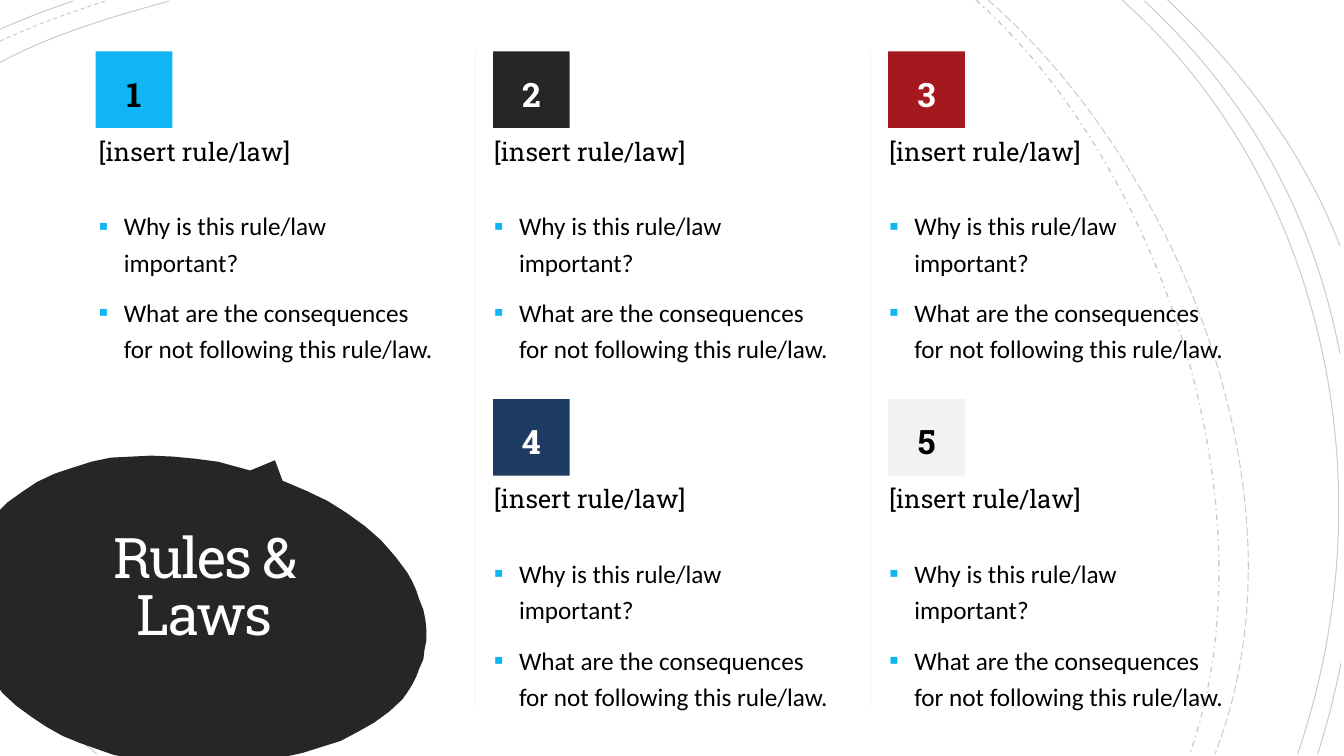
import pptx
import pptx.util
import pptx.dml.color
import pptx.enum.dml
import pptx.enum.shapes
import pptx.enum.text
import pptx.oxml
import pptx.oxml.ns
import lxml.etree

Inches = pptx.util.Inches
Pt = pptx.util.Pt
DASH = pptx.enum.dml.MSO_LINE
SHAPE = pptx.enum.shapes.MSO_SHAPE
ALIGN = pptx.enum.text.PP_ALIGN
ANCHOR = pptx.enum.text.MSO_ANCHOR
qn = pptx.oxml.ns.qn

SLAB, BODY = "Roboto Slab", "Calibri"
DARK, BLUE, BLACK, WHITE, PALE = "262626", "10B6F4", "000000", "FFFFFF", "F2F2F2"

# Grid of cards
LEFT, TOP, COL, ROW = 0.88, 0.51, 3.92, 3.45
SIDE = 0.76
CARDS = [  # number, column, row, square's indent, fill, number colour
    ("1", 0, 0, 0.07, BLUE, BLACK),
    ("2", 1, 0, 0.09, DARK, WHITE),
    ("3", 2, 0, 0.09, "A3191E", WHITE),
    ("4", 1, 1, 0.09, "1E3C62", WHITE),
    ("5", 2, 1, 0.09, PALE, BLACK),
]
POINTS = ["Why is this rule/law important?",
          "What are the consequences for not following this rule/law."]

# Thin background arcs: four Bezier points each, grouped by dash and width
ARCS = [
    (DASH.SOLID, 0.75, [
        [(0, 0.62), (0.52, 0.34), (1.13, 0.16), (1.68, 0.01)],
        [(2.1, 7.48), (1.34, 6.9), (0.62, 6.22), (0, 5.48)],
        [(0, 0.29), (0.23, 0.19), (0.48, 0.09), (0.73, 0.01)],
        [(1.67, 7.48), (1.08, 7.01), (0.51, 6.48), (0, 5.91)],
        [(1.49, 7.48), (0.97, 7.04), (0.46, 6.55), (0, 6.03)],
        [(1.3, 7.48), (0.84, 7.09), (0.41, 6.67), (0, 6.23)],
        [(0.96, 7.48), (0.63, 7.21), (0.31, 6.92), (0, 6.62)],
        [(11.13, 0), (13.2, 1.85), (13.76, 4.9), (12.87, 7.48)],
        [(11.35, 0.01), (12.38, 0.96), (13.03, 2.14), (13.29, 3.51)],
        [(13.3, 6.58), (13.24, 6.89), (13.16, 7.19), (13.07, 7.48)],
        [(11.58, 0), (12.31, 0.69), (12.93, 1.5), (13.29, 2.44)]]),
    (DASH.DASH, 0.75, [
        [(0, 0.41), (0.34, 0.25), (0.7, 0.12), (1.05, 0.01)],
        [(1.83, 7.49), (1.18, 6.98), (0.56, 6.4), (0.01, 5.77)]]),
    (DASH.DASH_DOT, 1, [
        [(9.68, 0), (11.54, 1.66), (12.65, 5.09), (11.8, 7.48)]]),
    (DASH.LONG_DASH, 0.75, [
        [(9.8, 0), (11.73, 1.69), (13.02, 4.99), (12.05, 7.48)]]),
]

BUBBLE = [
    (1.5, 4.52), (1.72, 4.53), (1.93, 4.55), (2.16, 4.58), (2.38, 4.64),
    (2.6, 4.7), (2.83, 4.78), (3.04, 4.87), (3.25, 4.97), (3.44, 5.09),
    (3.62, 5.22), (3.78, 5.36), (3.92, 5.52), (3.98, 5.6), (4.04, 5.68),
    (4.09, 5.77), (4.13, 5.86), (4.16, 5.95), (4.2, 6.05), (4.22, 6.15),
    (4.23, 6.25), (4.23, 6.35), (4.21, 6.45), (4.2, 6.54), (4.16, 6.63),
    (4.13, 6.71), (4.09, 6.79), (4.04, 6.87), (3.99, 6.94), (3.86, 7.06),
    (3.71, 7.17), (3.55, 7.26), (3.38, 7.35), (3.19, 7.41), (3, 7.47),
    (2.86, 7.5), (1.19, 7.5), (1.13, 7.49), (0.96, 7.43), (0.79, 7.37),
    (0.62, 7.3), (0.46, 7.21), (0.31, 7.11), (0.16, 7), (0.03, 6.88),
    (0, 6.84), (0, 5.06), (0.08, 4.98), (0.22, 4.88), (0.37, 4.78),
    (0.54, 4.7), (0.72, 4.64), (0.91, 4.58), (1.1, 4.54), (1.3, 4.53)]


def color(code):
    return pptx.dml.color.RGBColor.from_string(code)


def paint(shape, fill):
    shape.shadow.inherit = False
    shape.fill.solid()
    shape.fill.fore_color.rgb = color(fill)
    shape.line.fill.background()


def outline(group, points, close):
    spots = [(Inches(x), Inches(y)) for x, y in points]
    form = group.shapes.build_freeform(*spots[0])
    form.add_line_segments(spots[1:], close=close)
    return form.convert_to_shape()


def arc(group, ends, dash, width):
    shape = outline(group, ends, False)
    # Turn the three straight steps into one Bezier curve
    steps = list(shape._element.iter(qn("a:lnTo")))
    bend = lxml.etree.SubElement(steps[0].getparent(), qn("a:cubicBezTo"))
    for step in steps:
        bend.append(step[0])
        step.getparent().remove(step)
    shape.shadow.inherit = False
    shape.fill.background()
    shape.line.color.rgb = color(BLACK)
    shape.line.width = Pt(width)
    shape.line.dash_style = dash
    tint = shape._element.spPr.find(qn("a:ln")).find(".//" + qn("a:srgbClr"))
    lxml.etree.SubElement(tint, qn("a:alpha"), val="20000")


def rule(slide, x):
    line = slide.shapes.add_connector(
        pptx.enum.shapes.MSO_CONNECTOR.STRAIGHT,
        Inches(x), Inches(TOP), Inches(x), Inches(6.99))
    line.line.color.rgb = color(PALE)
    line.line.width = Pt(0.25)
    lxml.etree.SubElement(line._element.spPr, qn("a:effectLst"))


def bullet(para):
    props = para._p.get_or_add_pPr()
    props.set("marL", str(Inches(0.25)))
    props.set("indent", str(-Inches(0.25)))
    tint = lxml.etree.SubElement(props, qn("a:buClr"))
    lxml.etree.SubElement(tint, qn("a:srgbClr"), val=BLUE)
    lxml.etree.SubElement(props, qn("a:buSzPct"), val="110000")
    lxml.etree.SubElement(props, qn("a:buFont"), typeface="Arial")
    lxml.etree.SubElement(props, qn("a:buChar"), char="▪")


def write(shape, *lines, size=18, font=SLAB, ink=BLACK, bold=False, align=ALIGN.LEFT,
          anchor=ANCHOR.TOP, space=1.0, before=10, track=0, marks=False):
    frame = shape.text_frame
    frame.word_wrap = True
    frame.auto_size = pptx.enum.text.MSO_AUTO_SIZE.NONE
    frame.vertical_anchor = anchor
    for n, line in enumerate(lines):
        para = frame.add_paragraph() if n else frame.paragraphs[0]
        para.alignment = align
        para.line_spacing = space
        para.space_before = Pt(before)
        if marks:
            bullet(para)
        run = para.add_run()
        run.text = line
        run.font.size = Pt(size)
        run.font.name = font
        run.font.bold = bold
        run.font.color.rgb = color(ink)
        if track:
            run._r.get_or_add_rPr().set("spc", str(int(track * 100)))


def label(slide, x, y, w, h, *lines, **style):
    box = slide.shapes.add_textbox(Inches(x), Inches(y), Inches(w), Inches(h))
    write(box, *lines, **style)


def card(slide, number, col, row, indent, fill, ink):
    x, y = LEFT + col * COL, TOP + row * ROW
    square = slide.shapes.add_shape(SHAPE.RECTANGLE, Inches(x + indent), Inches(y),
                                    Inches(SIDE), Inches(SIDE))
    paint(square, fill)
    write(square, number, size=24, ink=ink, bold=True, align=ALIGN.CENTER,
          anchor=ANCHOR.MIDDLE, space=1.2)
    label(slide, x, y + 0.79, 3.74, 0.5, "[insert rule/law]")
    label(slide, x, y + 1.47, 3.53, 1.77, *POINTS, font=BODY, space=1.2, marks=True)


def heading(slide, text):
    title = slide.shapes.title
    title.left, title.top = Inches(0.33), Inches(4.51)
    title.width, title.height = Inches(3.4), Inches(2.69)
    frame = title.text_frame
    frame.margin_left = frame.margin_right = Inches(0.25)
    frame.margin_top = frame.margin_bottom = Inches(0.25)
    write(title, text, size=40, ink=WHITE, align=ALIGN.CENTER,
          anchor=ANCHOR.MIDDLE, space=0.85, before=0, track=-1.5)
    # Bring the title in front of the bubble
    slide.shapes._spTree.append(title._element)


def main():
    deck = pptx.Presentation()
    deck.slide_width, deck.slide_height = Inches(13.33), Inches(7.5)
    slide = deck.slides.add_slide(deck.slide_layouts[5])

    # Background arcs
    arcs = slide.shapes.add_group_shape()
    for dash, width, curves in ARCS:
        for ends in curves:
            arc(arcs, ends, dash, width)

    # Speech bubble with its tail
    bubble = slide.shapes.add_group_shape()
    tail = bubble.shapes.add_shape(SHAPE.ISOSCELES_TRIANGLE, Inches(1.73), Inches(4.53),
                                   Inches(1.65), Inches(0.86))
    tail.rotation = 23.6
    paint(tail, DARK)
    paint(outline(bubble, BUBBLE, True), DARK)

    # Column rules, title and cards
    for col in (1, 2):
        rule(slide, LEFT + col * COL - 0.09)
    heading(slide, "Rules & Laws")
    for item in CARDS:
        card(slide, *item)
    deck.save("out.pptx")


if __name__ == "__main__":
    main()
